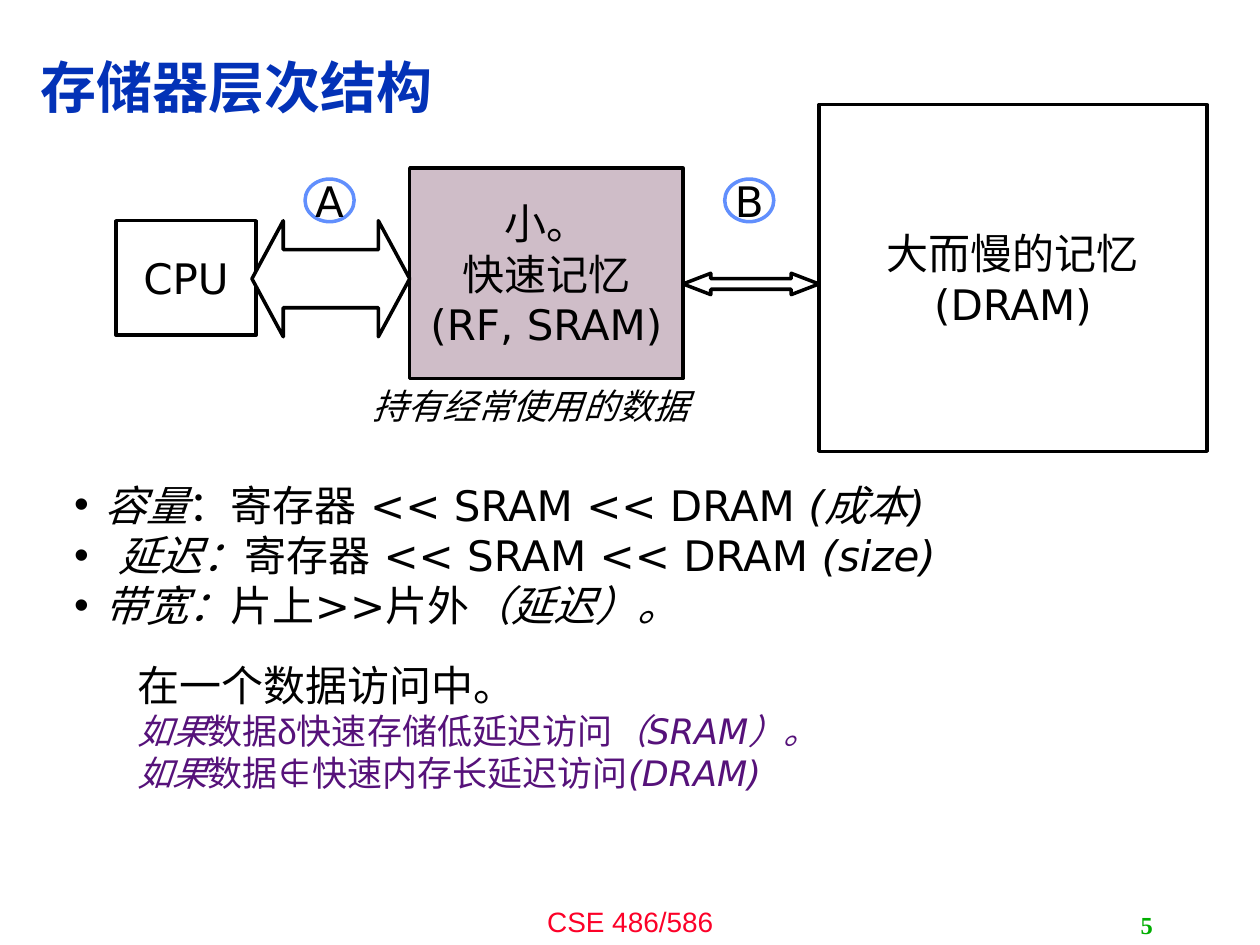
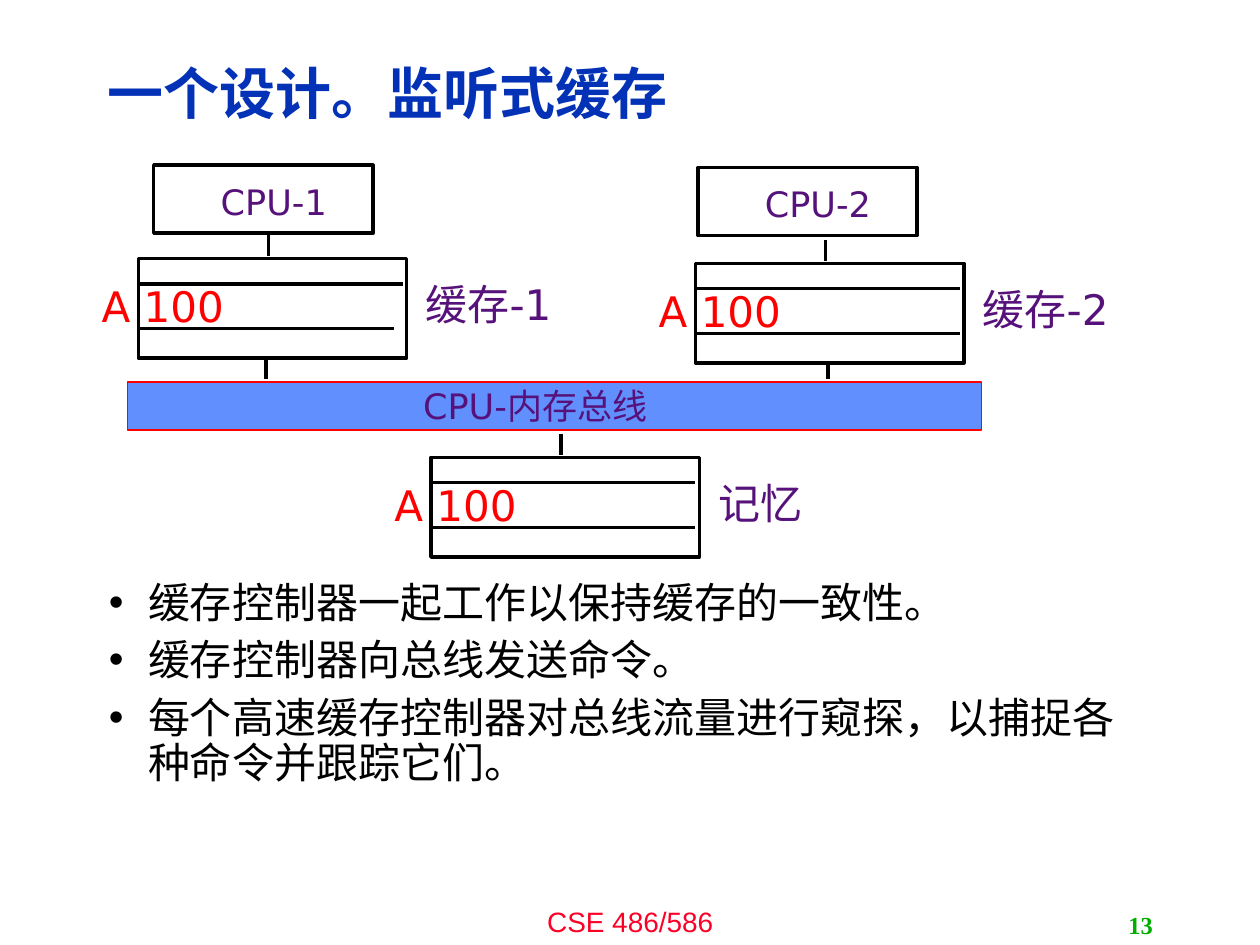
from dataclasses import dataclass
from lxml.etree import SubElement
from pptx import Presentation
from pptx.dml.color import RGBColor as Rgb
from pptx.enum.shapes import MSO_CONNECTOR as Wire, MSO_SHAPE as Form
from pptx.enum.text import MSO_ANCHOR as Anchor, MSO_AUTO_SIZE as Fit, PP_ALIGN as Align
from pptx.oxml.ns import qn
from pptx.util import Cm, Pt


@dataclass(frozen=True)
class Theme:
    black: str = "000000"
    white: str = "FFFFFF"
    title: str = "0332B7"
    foot: str = "FC0128"
    page: str = "00AE00"
    label: str = "56127A"
    value: str = "FF0000"
    blue: str = "618FFD"
    mauve: str = "CFBDC8"
    sans: str = "DejaVu Sans"
    arial: str = "Arial"
    serif: str = "Times New Roman"
    head: int = 32
    large: int = 24
    mid: int = 20
    small: int = 16
    tiny: int = 14


look = Theme()


def say(par, runs, size, ink, face=look.sans, align=Align.LEFT, bold=False):
    par.alignment = align
    for text, slant, *alt in runs:
        run = par.add_run()
        run.text = text
        font = run.font
        font.size, font.bold, font.italic = Pt(size), bold, slant
        font.color.rgb = Rgb.from_string(ink)
        font.name = alt[0] if alt else face
        SubElement(run._r.get_or_add_rPr(), qn("a:ea")).set("typeface", font.name)


def box(slide, form, place, rows=(), size=look.large, ink=look.black, fill=None,
        line=look.black, width=2, align=Align.CENTER, slant=False, face=look.sans,
        bold=False, pad=True):
    spot = [Cm(n) for n in place]
    if form is None:
        shape = slide.shapes.add_textbox(*spot)
    else:
        shape = slide.shapes.add_shape(form, *spot)
        shape.shadow.inherit = False
        shape.line.color.rgb = Rgb.from_string(line)
        shape.line.width = Pt(width)
        if fill:
            shape.fill.solid()
            shape.fill.fore_color.rgb = Rgb.from_string(fill)
        else:
            shape.fill.background()
    frame = shape.text_frame
    frame.word_wrap = True
    frame.vertical_anchor = Anchor.MIDDLE if form else Anchor.TOP
    if not pad:
        frame.margin_left = frame.margin_right = frame.margin_top = frame.margin_bottom = 0
    for i, row in enumerate(rows):
        par = frame.add_paragraph() if i else frame.paragraphs[0]
        say(par, [(row, slant)], size, ink, face, align, bold)
    return shape


deck = Presentation()
deck.slide_width, deck.slide_height = Cm(25.4), Cm(19.05)

slides = []
for name, page, spot, area in (
    ("存储器层次结构", "5", (0.56, 0.56, 19.89, 2.54), (1.24, 9.53, 23.34, 6.65)),
    ("一个设计。监听式缓存", "13", (1.91, 0.91, 20.27, 2.06), (1.94, 11.6, 21.34, 5.42)),
):
    slide = deck.slides.add_slide(deck.slide_layouts[1])
    title, body = slide.shapes.title, slide.placeholders[1]
    for item, place in ((title, spot), (body, area)):
        item.left, item.top, item.width, item.height = [Cm(n) for n in place]
        item.text_frame.auto_size = Fit.NONE
        item.text_frame.word_wrap = True
    title.text_frame.vertical_anchor = Anchor.MIDDLE
    par = title.text_frame.paragraphs[0]
    par.line_spacing = 0.9
    say(par, [(name, False)], look.head, look.title, look.arial, bold=True)
    box(slide, None, (8.47, 18.11, 8.47, 0.94), ["CSE 486/586"],
        look.small, look.foot, face=look.arial)
    num = box(slide, None, (18.21, 18.24, 5.28, 0.81), [page], look.tiny, look.page,
              align=Align.RIGHT, face=look.serif, bold=True)
    num.text_frame.vertical_anchor = Anchor.MIDDLE
    slides.append(slide)

tiers, snoop = slides

list_rows = (
    (True, 0, look.large, look.black,
     [("容量", True), ("：寄存器 << SRAM << DRAM ", False), ("(成本)", True)]),
    (True, 0, look.large, look.black,
     [(" 延迟：", True), ("寄存器 << SRAM << DRAM ", False), ("(size)", True)]),
    (True, 0, look.large, look.black,
     [("带宽：", True), ("片上>>片外", False), ("（延迟）。", True)]),
    (False, 16.5, look.large, look.black, [("在一个数据访问中。", False)]),
    (False, 0, look.mid, look.label,
     [("如果", True), ("数据", False), ("δ", False, look.arial),
      ("快速存储低延迟访问", False), ("（SRAM）。", True)]),
    (False, 0, look.mid, look.label,
     [("如果", True), ("数据", False), ("∉", False, look.arial),
      ("快速内存长延迟访问", False), ("(DRAM)", True)]),
)
frame = tiers.placeholders[1].text_frame
for i, (dot, gap, size, ink, runs) in enumerate(list_rows):
    par = frame.add_paragraph() if i else frame.paragraphs[0]
    props = par._p.get_or_add_pPr()
    props.set("marL", str(Cm(0.62 if dot else 1.27)))
    props.set("indent", str(Cm(-0.62 if dot else 0)))
    par.space_before = Pt(gap)
    if not dot:
        SubElement(props, qn("a:buNone"))
    say(par, runs, size, ink)

box(tiers, Form.RECTANGLE, (8.26, 3.39, 5.51, 4.24),
    ["小。", "快速记忆", "(RF, SRAM)"], fill=look.mauve)
box(tiers, Form.RECTANGLE, (2.34, 4.45, 2.82, 2.31), ["CPU"], fill=look.white)
box(tiers, Form.RECTANGLE, (16.51, 2.11, 7.82, 6.99),
    ["大而慢的记忆", "(DRAM)"], fill=look.white)
for mark, left in (("A", 6.15), ("B", 14.61)):
    box(tiers, Form.OVAL, (left, 3.61, 0.99, 0.86), [mark],
        fill=look.white, line=look.blue, pad=False)
box(tiers, None, (4.88, 7.62, 11.63, 1.09), ["持有经常使用的数据"], look.mid, slant=True)
for place, tip in (((13.77, 5.51, 2.74, 0.43), 1.3), ((5.08, 4.45, 3.18, 2.34), 0.27)):
    arrow = box(tiers, Form.LEFT_RIGHT_ARROW, place, fill=look.white)
    arrow.adjustments[0], arrow.adjustments[1] = 0.5, tip

frame = snoop.placeholders[1].text_frame
for i, text in enumerate((
    "缓存控制器一起工作以保持缓存的一致性。",
    "缓存控制器向总线发送命令。",
    "每个高速缓存控制器对总线流量进行窥探，以捕捉各种命令并跟踪它们。",
)):
    par = frame.add_paragraph() if i else frame.paragraphs[0]
    props = par._p.get_or_add_pPr()
    props.set("marL", str(Cm(0.79)))
    props.set("indent", str(Cm(-0.79)))
    par.line_spacing = 0.9
    par.space_before = Pt(7 if i else 0)
    say(par, [(text, False)], look.large, look.black, look.arial)

box(snoop, Form.RECTANGLE, (2.57, 7.7, 17.22, 0.97),
    fill=look.blue, line=look.value, width=0.75)
box(snoop, None, (8.28, 7.62, 6.6, 1.09), ["CPU-内存总线"],
    look.mid, look.label, align=Align.LEFT)

for name, left, top in (("CPU-1", 3.1, 3.33), ("CPU-2", 14.07, 3.38)):
    box(snoop, Form.RECTANGLE, (left, top, 4.42, 1.37))
    box(snoop, None, (left + 1.1, top + 0.18, 2.9, 1.09), [name],
        look.mid, look.label, align=Align.LEFT)

wires = [(5.36, 7.26, 5.36, 7.65), (16.69, 7.34, 16.69, 7.65)]
for name, left, top, end in (
    ("缓存-1", 2.79, 5.21, 5.16),
    ("缓存-2", 14.02, 5.31, 5.33),
    ("记忆", 8.69, 9.22, 5.33),
):
    box(snoop, Form.RECTANGLE, (left, top, 5.41, 2.01))
    box(snoop, None, (left + 5.54, top + 0.28, 3.86, 1.27), [name],
        ink=look.label, align=Align.LEFT)
    box(snoop, None, (left - 0.99, top + 0.33, 4.65, 1.27), ["A 100"],
        ink=look.value, align=Align.LEFT)
    wires += [
        (left + 2.62, top - 0.48, left + 2.62, top - 0.05),
        (left, top + 0.51, left + 5.33, top + 0.51),
        (left + 0.04, top + 1.41, left + end, top + 1.41),
    ]
for ends in wires:
    wire = snoop.shapes.add_connector(Wire.STRAIGHT, *[Cm(n) for n in ends])
    wire.line.color.rgb = Rgb.from_string(look.black)
    wire.line.width = Pt(2)
    SubElement(wire._element.spPr, qn("a:effectLst"))

deck.save("out.pptx")
